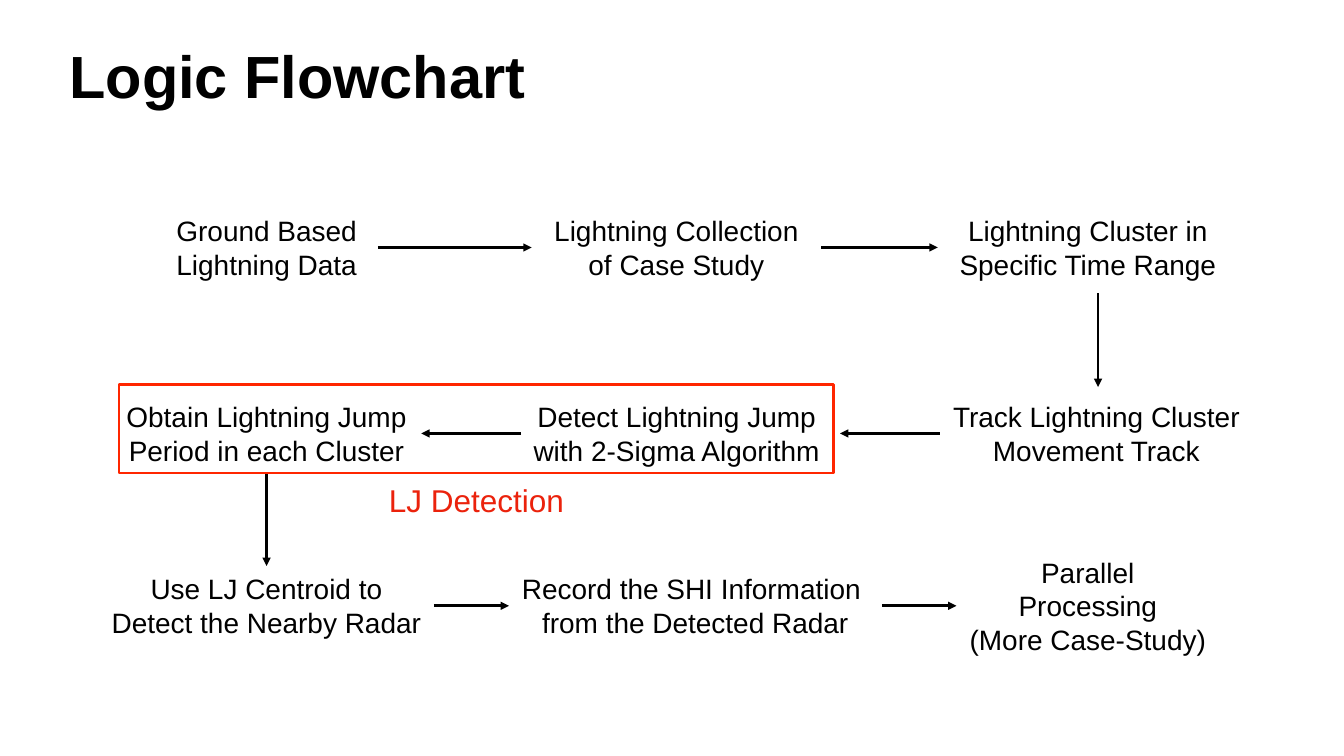
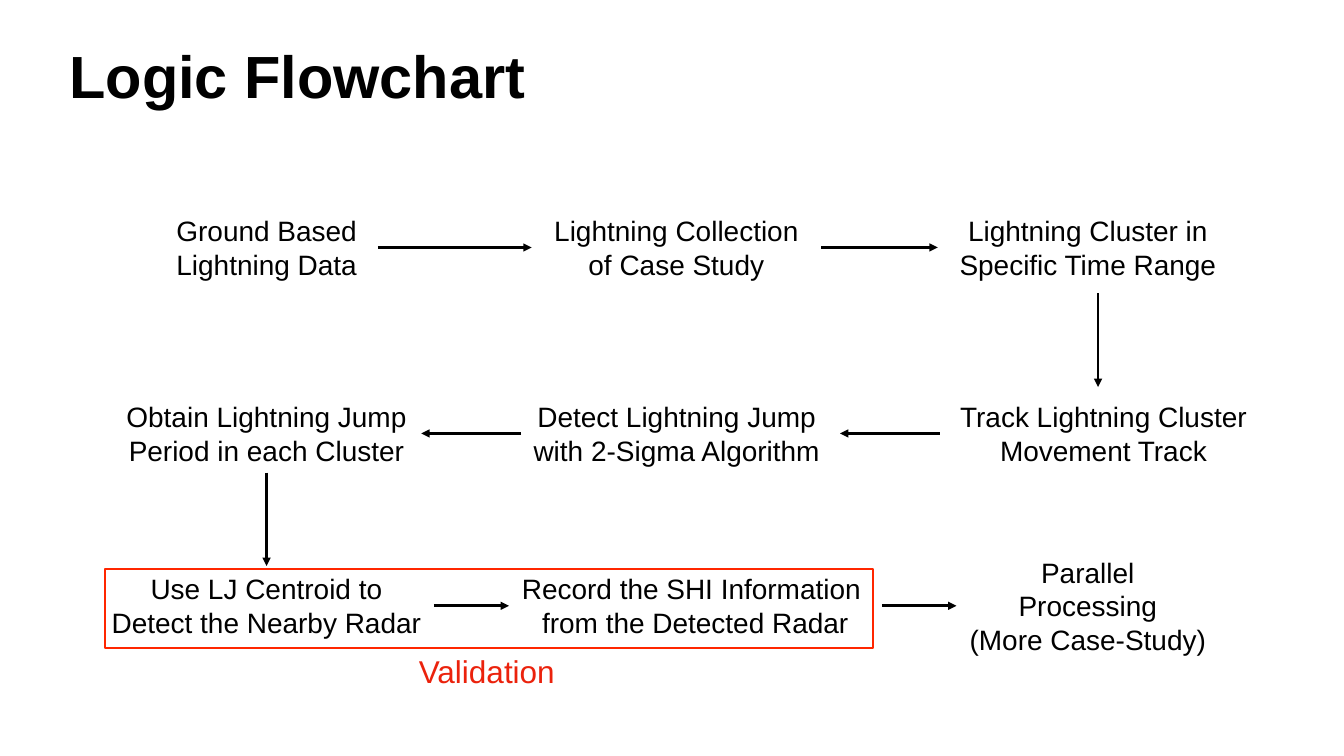
"""Builds two lightning flowchart slides, each framing one stage in red."""
from lxml import etree
from pptx import Presentation
from pptx.dml.color import RGBColor
from pptx.enum.shapes import MSO_CONNECTOR, MSO_SHAPE
from pptx.enum.text import MSO_ANCHOR, MSO_AUTO_SIZE, PP_ALIGN
from pptx.oxml.ns import qn
from pptx.util import Pt

LINE, RECT = MSO_CONNECTOR.STRAIGHT, MSO_SHAPE.RECTANGLE
TOP, MIDDLE = MSO_ANCHOR.TOP, MSO_ANCHOR.MIDDLE
LEFT, CENTER = PP_ALIGN.LEFT, PP_ALIGN.CENTER
GROW, FIXED = MSO_AUTO_SIZE.SHAPE_TO_FIT_TEXT, MSO_AUTO_SIZE.NONE

PX = 9144
SIZE = (2667, 1500)
FONT = "Arial"
COLORS = {"page": "FFFFFF", "ink": "000000", "frame": "FF2600", "label": "EB220C"}
TITLE = "Logic Flowchart"
TITLE_AT = (132, 99, 2403, 157)
STEP_H = 143
INSET = 6

ROWS = [
    (419, [
        (342, 374, ["Ground Based", "Lightning Data"]),
        (1089, 506, ["Lightning Collection", "of Case Study"]),
        (1896, 525, ["Lightning Cluster in", "Specific Time Range"]),
    ]),
    (788, [
        (1878, 595, ["Track Lightning Cluster", "Movement Track"]),
        (1045, 595, ["Detect Lightning Jump", "with 2-Sigma Algorithm"]),
        (239, 579, ["Obtain Lightning Jump", "Period in each Cluster"]),
    ]),
    (1130, [
        (214, 629, ["Use LJ Centroid to", "Detect the Nearby Radar"]),
        (1027, 705, ["Record the SHI Information ", "from the Detected Radar"]),
        (1916, 485, ["Parallel Processing", "(More Case-Study)"]),
    ]),
]
ACROSS = [
    [(750, 1055), (1630, 1861)],
    [(1865, 1667), (1034, 836)],
    [(861, 1010), (1750, 1898)],
]
DOWN = [(2179, 582, 768), (529, 938, 1123)]
STAGES = [
    {"frame": (237, 763, 1417, 175), "label": "LJ Detection",
     "at": (443, 934, 1005, 115), "shift": {}},
    {"frame": (208, 1129, 1524, 157), "label": "Validation",
     "at": (806, 1290, 320, 84), "shift": {"Track Lightning Cluster": 14}},
]


def emu(*vals):
    return [v * PX for v in vals]


def rgb(name):
    return RGBColor.from_string(COLORS[name])


def write(slide, at, lines, size, color="ink", bold=False, align=CENTER,
          anchor=MIDDLE, fit=FIXED, space=None):
    frame = slide.shapes.add_textbox(*emu(*at)).text_frame
    frame.word_wrap = True
    frame.auto_size = fit
    frame.vertical_anchor = anchor
    frame.margin_left = frame.margin_right = INSET * PX
    frame.margin_top = frame.margin_bottom = INSET * PX
    for i, line in enumerate(lines):
        para = frame.add_paragraph() if i else frame.paragraphs[0]
        para.alignment = align
        para.line_spacing = space
        run = para.add_run()
        run.text = line
        font = run.font
        font.name, font.size, font.bold = FONT, Pt(size), bold
        font.color.rgb = rgb(color)


def arrow(slide, x1, y1, x2, y2):
    link = slide.shapes.add_connector(LINE, *emu(x1, y1, x2, y2))
    link.line.color.rgb = rgb("ink")
    link.line.width = Pt(4)
    props = link._element.spPr
    etree.SubElement(props.find(qn("a:ln")), qn("a:tailEnd"), type="triangle")
    etree.SubElement(props, qn("a:effectLst"))


def outline(slide, at):
    box = slide.shapes.add_shape(RECT, *emu(*at))
    box.shadow.inherit = False
    box.fill.background()
    box.line.color.rgb = rgb("frame")
    box.line.width = Pt(3)


def draw(slide, stage):
    fill = slide.background.fill
    fill.solid()
    fill.fore_color.rgb = rgb("page")
    write(slide, TITLE_AT, [TITLE], 85, bold=True, align=LEFT, anchor=TOP, space=0.8)
    for (top, steps), links in zip(ROWS, ACROSS):
        for left, width, lines in steps:
            left += stage["shift"].get(lines[0], 0)
            write(slide, (left, top, width, STEP_H), lines, 40, fit=GROW)
        mid = top + (STEP_H + 1) // 2
        for start, end in links:
            arrow(slide, start, mid, end, mid)
    for x, start, end in DOWN:
        arrow(slide, x, start, x, end)
    outline(slide, stage["frame"])
    write(slide, stage["at"], [stage["label"]], 45, "label")


def main():
    deck = Presentation()
    deck.slide_width, deck.slide_height = emu(*SIZE)
    for stage in STAGES:
        draw(deck.slides.add_slide(deck.slide_layouts[6]), stage)
    deck.save("out.pptx")


if __name__ == "__main__":
    main()
